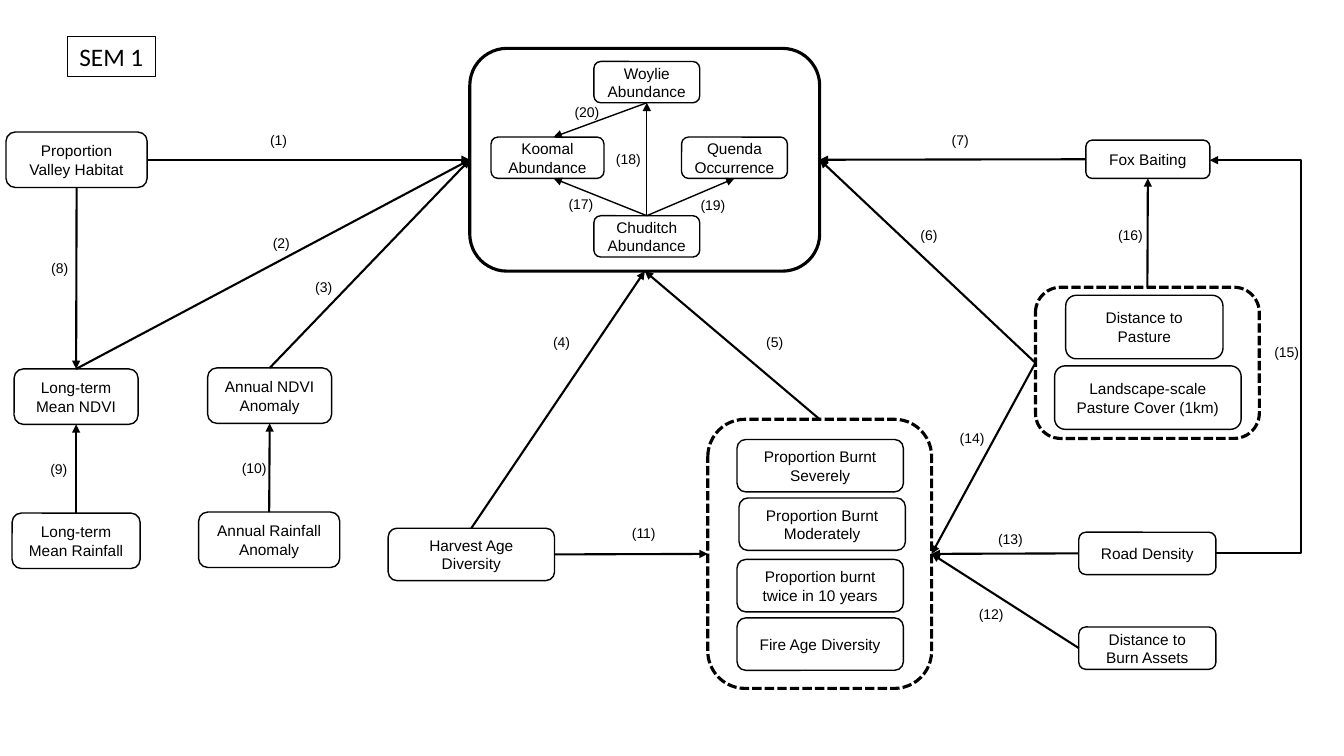
import pptx
import pptx.util
import pptx.dml.color
import pptx.enum.dml
import pptx.enum.shapes
import pptx.enum.text
import pptx.oxml.ns
from lxml import etree

PX = 9144  # EMU per px, 100 px to the inch
COLORS = {"ink": "000000", "paper": "FFFFFF"}
INK = pptx.dml.color.RGBColor.from_string(COLORS["ink"])
PAPER = pptx.dml.color.RGBColor.from_string(COLORS["paper"])
SHAPE = pptx.enum.shapes.MSO_SHAPE
CONNECTOR = pptx.enum.shapes.MSO_CONNECTOR
ALIGN = pptx.enum.text.PP_ALIGN
TOP, LEFT, BOTTOM, RIGHT = range(4)

prs = pptx.Presentation()
prs.slide_width = 1333 * PX
prs.slide_height = 750 * PX
s = prs.slides.add_slide(prs.slide_layouts[6])


def add_box(kind, bounds, line_width, text="", size=11, font="Arial"):
    sp = s.shapes.add_shape(kind, *[v * PX for v in bounds])
    sp.shadow.inherit = False
    sp.fill.solid()
    sp.fill.fore_color.rgb = PAPER
    sp.line.color.rgb = INK
    sp.line.width = pptx.util.Pt(line_width)
    if text:
        p = sp.text_frame.paragraphs[0]
        p.text = text
        p.alignment = ALIGN.CENTER
        p.font.size = pptx.util.Pt(size)
        p.font.name = font
        p.font.color.rgb = INK
    return sp


def add_arrow(kind, start, end, line_width):
    cx = s.shapes.add_connector(kind, *[v * PX for v in start + end])
    cx.line.color.rgb = INK
    cx.line.width = pptx.util.Pt(line_width)
    ln = cx.line._get_or_add_ln()
    etree.SubElement(ln, pptx.oxml.ns.qn("a:tailEnd"), type="triangle")
    etree.SubElement(cx._element.spPr, pptx.oxml.ns.qn("a:effectLst"))
    return cx


# Frames around groups of variables
nodes = {}
for name, bounds, dashed in [
    ("Animals", (466, 48, 347, 221), False),
    ("Fire", (702, 416, 222, 267), True),
    ("Pasture", (1027, 285, 222, 150), True),
]:
    nodes[name] = add_box(SHAPE.ROUNDED_RECTANGLE, bounds, 2.25)
    nodes[name].fill.background()
    if dashed:
        nodes[name].line.dash_style = pptx.enum.dml.MSO_LINE.SQUARE_DOT

# Variables
for name, *bounds in [
    ("Woylie Abundance", 589, 61, 105, 41),
    ("Koomal Abundance", 487, 136, 112, 41),
    ("Quenda Occurrence", 676, 136, 105, 41),
    ("Chuditch Abundance", 589, 214, 105, 41),
    ("Proportion Valley Habitat", 6, 131, 140, 55),
    ("Long-term Mean NDVI", 14, 366, 123, 55),
    ("Long-term Mean Rainfall", 12, 509, 127, 55),
    ("Annual NDVI Anomaly", 206, 365, 123, 55),
    ("Annual Rainfall Anomaly", 197, 508, 140, 55),
    ("Harvest Age Diversity", 385, 524, 165, 52),
    ("Proportion Burnt Severely", 731, 436, 165, 52),
    ("Proportion Burnt Moderately", 733, 494, 165, 52),
    ("Proportion burnt twice in 10 years", 731, 555, 165, 52),
    ("Fire Age Diversity", 731, 613, 165, 52),
    ("Fox Baiting", 1077, 139, 123, 38),
    ("Distance to Pasture", 1057, 293, 156, 63),
    ("Landscape-scale Pasture Cover (1km)", 1046, 363, 185, 63),
    ("Road Density", 1070, 528, 136, 42),
    ("Distance to Burn Assets", 1070, 622, 136, 42),
]:
    nodes[name] = add_box(SHAPE.ROUNDED_RECTANGLE, bounds, 1, name)

# Arrows joined at both ends
for start, start_side, end, end_side, line_width in [
    ("Chuditch Abundance", TOP, "Quenda Occurrence", BOTTOM, 1),
    ("Chuditch Abundance", TOP, "Woylie Abundance", BOTTOM, 1),
    ("Proportion Valley Habitat", RIGHT, "Animals", LEFT, 1.5),
    ("Long-term Mean NDVI", TOP, "Animals", LEFT, 1.5),
    ("Annual NDVI Anomaly", TOP, "Animals", LEFT, 1.5),
    ("Harvest Age Diversity", TOP, "Animals", BOTTOM, 1.5),
    ("Fire", TOP, "Animals", BOTTOM, 1.5),
    ("Pasture", LEFT, "Animals", RIGHT, 1.5),
    ("Fox Baiting", LEFT, "Animals", RIGHT, 1.5),
    ("Proportion Valley Habitat", BOTTOM, "Long-term Mean NDVI", TOP, 1.5),
    ("Long-term Mean Rainfall", TOP, "Long-term Mean NDVI", BOTTOM, 1.5),
    ("Annual Rainfall Anomaly", TOP, "Annual NDVI Anomaly", BOTTOM, 1.5),
    ("Harvest Age Diversity", RIGHT, "Fire", LEFT, 1.5),
    ("Distance to Burn Assets", LEFT, "Fire", RIGHT, 1.5),
    ("Road Density", LEFT, "Fire", RIGHT, 1.5),
    ("Pasture", LEFT, "Fire", RIGHT, 1.5),
    ("Pasture", TOP, "Fox Baiting", BOTTOM, 1.5),
]:
    cx = add_arrow(CONNECTOR.STRAIGHT, (0, 0), (0, 0), line_width)
    cx.begin_connect(nodes[start], start_side)
    cx.end_connect(nodes[end], end_side)

# Arrows into Koomal, which end right of its middle
for start, side, end in [
    ("Chuditch Abundance", TOP, (549, 177)),
    ("Woylie Abundance", BOTTOM, (549, 136)),
]:
    cx = add_arrow(CONNECTOR.STRAIGHT, (0, 0), end, 1)
    cx.begin_connect(nodes[start], side)

# Elbow from Road Density round to Fox Baiting, bending at x = 1291
cx = add_arrow(CONNECTOR.ELBOW, (1206, 549), (1200, 159), 1.5)
bend = round((1206 - 1291) / (1206 - 1200) * 100000)
guides = cx._element.spPr.find(pptx.oxml.ns.qn("a:prstGeom")).get_or_add_avLst()
etree.SubElement(guides, pptx.oxml.ns.qn("a:gd"), name="adj1", fmla=f"val {bend}")

# Path numbers, in order from (1)
CENTERED = {2, 3, 4, 11}
for number, (x, y) in enumerate([
    (258, 126), (258, 228), (300, 271), (536, 326), (750, 326),
    (903, 220), (934, 126), (41, 253), (40, 452), (230, 451),
    (613, 515), (961, 596), (980, 521), (942, 421), (1254, 336),
    (1099, 220), (554, 189), (601, 144), (685, 190), (560, 98),
], start=1):
    width = 42 if number < 10 else 51
    tf = s.shapes.add_textbox(x * PX, y * PX, width * PX, 27 * PX).text_frame
    tf.word_wrap = True
    tf.auto_size = pptx.enum.text.MSO_AUTO_SIZE.SHAPE_TO_FIT_TEXT
    p = tf.paragraphs[0]
    p.text = f"({number})"
    p.alignment = ALIGN.CENTER if number in CENTERED else ALIGN.LEFT
    p.font.size = pptx.util.Pt(10)
    p.font.name = "Arial"
    p.font.color.rgb = INK

# Model name
title = add_box(SHAPE.RECTANGLE, (67, 36, 87, 40), 1, "SEM 1", 18, "Calibri")
title.text_frame.word_wrap = False

prs.save("out.pptx")
